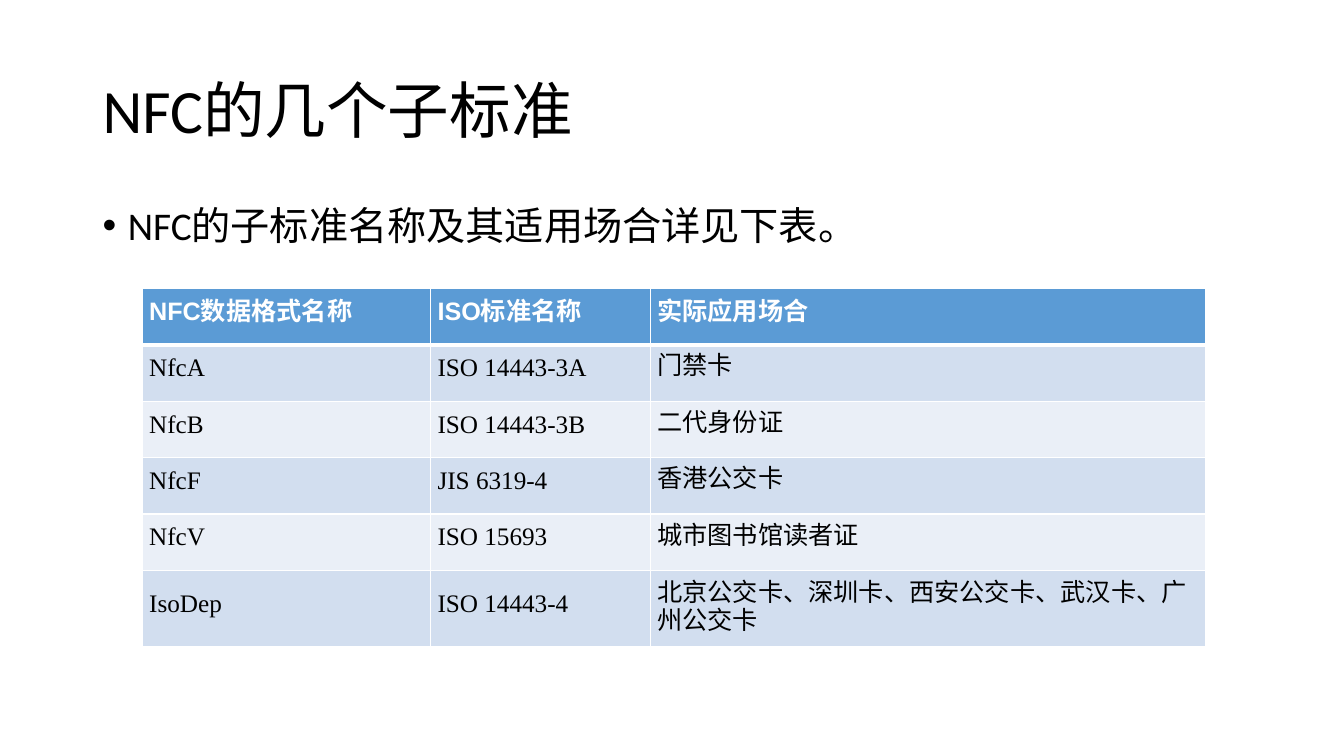
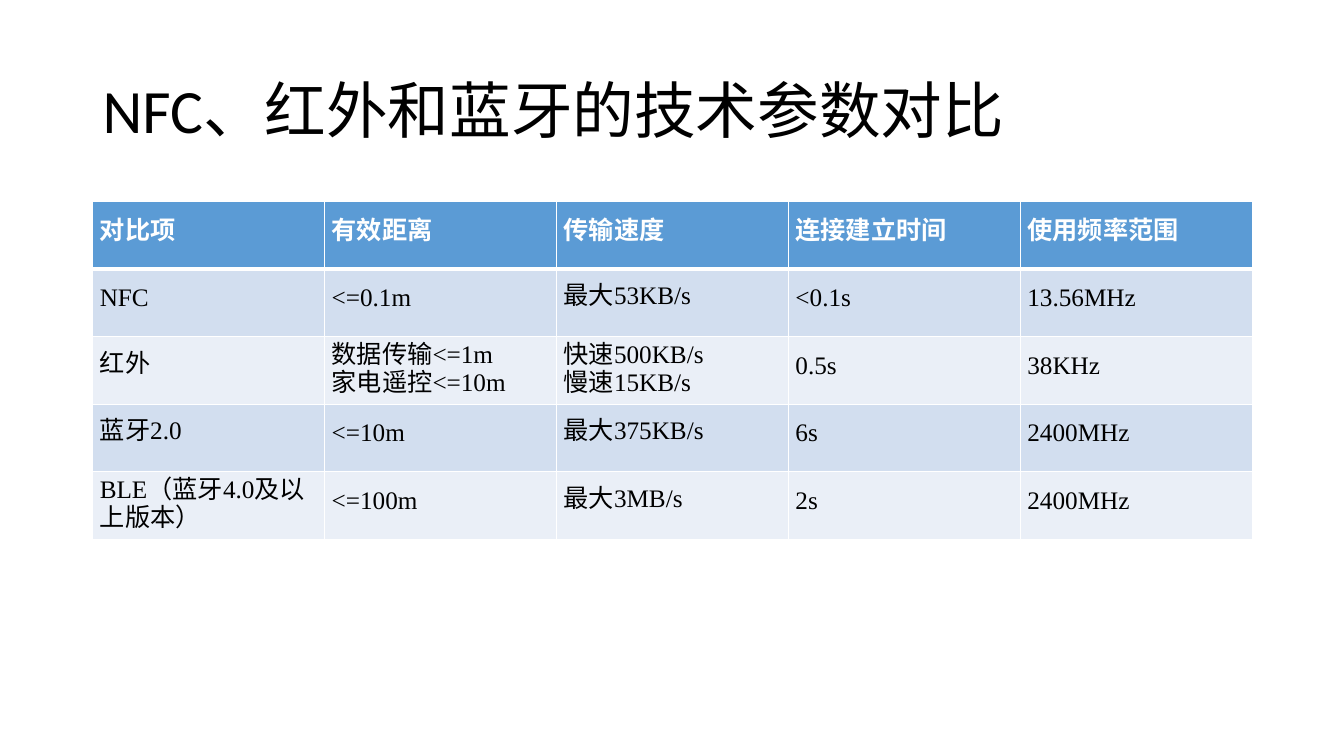
from lxml.etree import SubElement
from pptx import Presentation
from pptx.dml.color import RGBColor
from pptx.enum.lang import MSO_LANGUAGE_ID as Language
from pptx.enum.text import MSO_ANCHOR as Anchor, PP_ALIGN as Align
from pptx.oxml.ns import qn
from pptx.util import Inches, Pt

COLORS = {
    "text": "000000",
    "white": "FFFFFF",
    "header": "5B9BD5",
    "odd_row": "D2DEEF",
    "even_row": "EAEFF7",
}
LONGEST_SINGLE_LINE = 12

STANDARDS = [
    ["NFC数据格式名称", "ISO标准名称", "实际应用场合"],
    ["NfcA", "ISO 14443-3A", "门禁卡"],
    ["NfcB", "ISO 14443-3B", "二代身份证"],
    ["NfcF", "JIS 6319-4", "香港公交卡"],
    ["NfcV", "ISO 15693", "城市图书馆读者证"],
    ["IsoDep", "ISO 14443-4", "北京公交卡、深圳卡、西安公交卡、武汉卡、广州公交卡"],
]
COMPARISON = [
    ["对比项", "有效距离", "传输速度", "连接建立时间", "使用频率范围"],
    ["NFC", "<=0.1m", "最大53KB/s", "<0.1s", "13.56MHz"],
    ["红外", "数据传输<=1m\n家电遥控<=10m", "快速500KB/s\n慢速15KB/s", "0.5s", "38KHz"],
    ["蓝牙2.0", "<=10m", "最大375KB/s", "6s", "2400MHz"],
    ["BLE（蓝牙4.0及以上版本）", "<=100m", "最大3MB/s", "2s", "2400MHz"],
]


class Deck:
    """Holds the shared style and the slide being filled."""

    left, width = 0.92, 11.5

    def __init__(self):
        self.presentation = Presentation()
        self.presentation.slide_width = Inches(13.33)
        self.presentation.slide_height = Inches(7.5)
        self.slide = None

    def add_slide(self, title):
        blank = self.presentation.slide_layouts[6]
        self.slide = self.presentation.slides.add_slide(blank)
        self.text(title, 0.4, 1.45, 44, Anchor.MIDDLE)

    def run(self, paragraph, text, size, font="Calibri", color="text", bold=False):
        run = paragraph.add_run()
        run.text = text
        run.font.size = Pt(size)
        run.font.name = font
        run.font.bold = bold
        run.font.color.rgb = RGBColor.from_string(COLORS[color])
        run.font.language_id = Language.SIMPLIFIED_CHINESE

    def text(self, words, top, height, size, anchor=Anchor.TOP):
        box = self.slide.shapes.add_textbox(
            Inches(self.left), Inches(top), Inches(self.width), Inches(height))
        frame = box.text_frame
        frame.word_wrap = True
        frame.vertical_anchor = anchor
        paragraph = frame.paragraphs[0]
        paragraph.line_spacing = 0.9
        self.run(paragraph, words, size)
        return paragraph

    def bullet(self, words, top, height):
        paragraph = self.text(words, top, height, 28)
        paragraph.space_before = Pt(10)
        properties = paragraph._p.get_or_add_pPr()
        properties.set("marL", str(Inches(0.25)))
        properties.set("indent", str(-Inches(0.25)))
        SubElement(properties, qn("a:buFont"), typeface="Arial")
        SubElement(properties, qn("a:buChar"), char="•")

    def borders(self, cell, row):
        """Draw thin white edges, with a thick one below the header."""
        widths = {"L": 1, "R": 1, "T": 3 if row == 1 else 1, "B": 3 if row == 0 else 1}
        properties = cell._tc.get_or_add_tcPr()
        for side, width in widths.items():
            line = SubElement(properties, qn(f"a:ln{side}"), w=str(Pt(width)))
            fill = SubElement(line, qn("a:solidFill"))
            SubElement(fill, qn("a:srgbClr"), val=COLORS["white"])

    def cell(self, cell, words, row):
        is_header = row == 0
        self.borders(cell, row)
        band = "header" if is_header else "odd_row" if row % 2 else "even_row"
        cell.fill.solid()
        cell.fill.fore_color.rgb = RGBColor.from_string(COLORS[band])
        cell.vertical_anchor = Anchor.MIDDLE
        cell.margin_left = cell.margin_right = Inches(0.07)
        cell.margin_top = cell.margin_bottom = 0
        has_two_lines = "\n" in words or len(words) > LONGEST_SINGLE_LINE
        for index, line in enumerate(words.split("\n")):
            frame = cell.text_frame
            paragraph = frame.add_paragraph() if index else frame.paragraphs[0]
            if is_header:
                paragraph.alignment = Align.JUSTIFY
                paragraph.line_spacing = Pt(15.6)
                self.run(paragraph, line, 18, "Arial", "white", True)
            else:
                paragraph.line_spacing = Pt(20 if has_two_lines else 13)
                self.run(paragraph, line, 18, "Times New Roman")

    def table(self, rows, left, top, widths, heights):
        table = self.slide.shapes.add_table(
            len(rows), len(widths), Inches(left), Inches(top),
            Inches(sum(widths)), Inches(sum(heights))).table
        for column, width in zip(table.columns, widths):
            column.width = Inches(width)
        for row, (words, height) in enumerate(zip(rows, heights)):
            table.rows[row].height = Inches(height)
            for column, entry in enumerate(words):
                self.cell(table.cell(row, column), entry, row)


def main():
    deck = Deck()

    deck.add_slide("NFC的几个子标准")
    deck.bullet("NFC的子标准名称及其适用场合详见下表。", 2, 4.76)
    deck.table(STANDARDS, 1.41, 2.86, [2.86, 2.18, 5.51], [0.56] * 5 + [0.76])

    deck.add_slide("NFC、红外和蓝牙的技术参数对比")
    deck.table(COMPARISON, deck.left, 2, [deck.width / 5] * 5, [0.67] * 5)

    deck.presentation.save("out.pptx")


if __name__ == "__main__":
    main()
